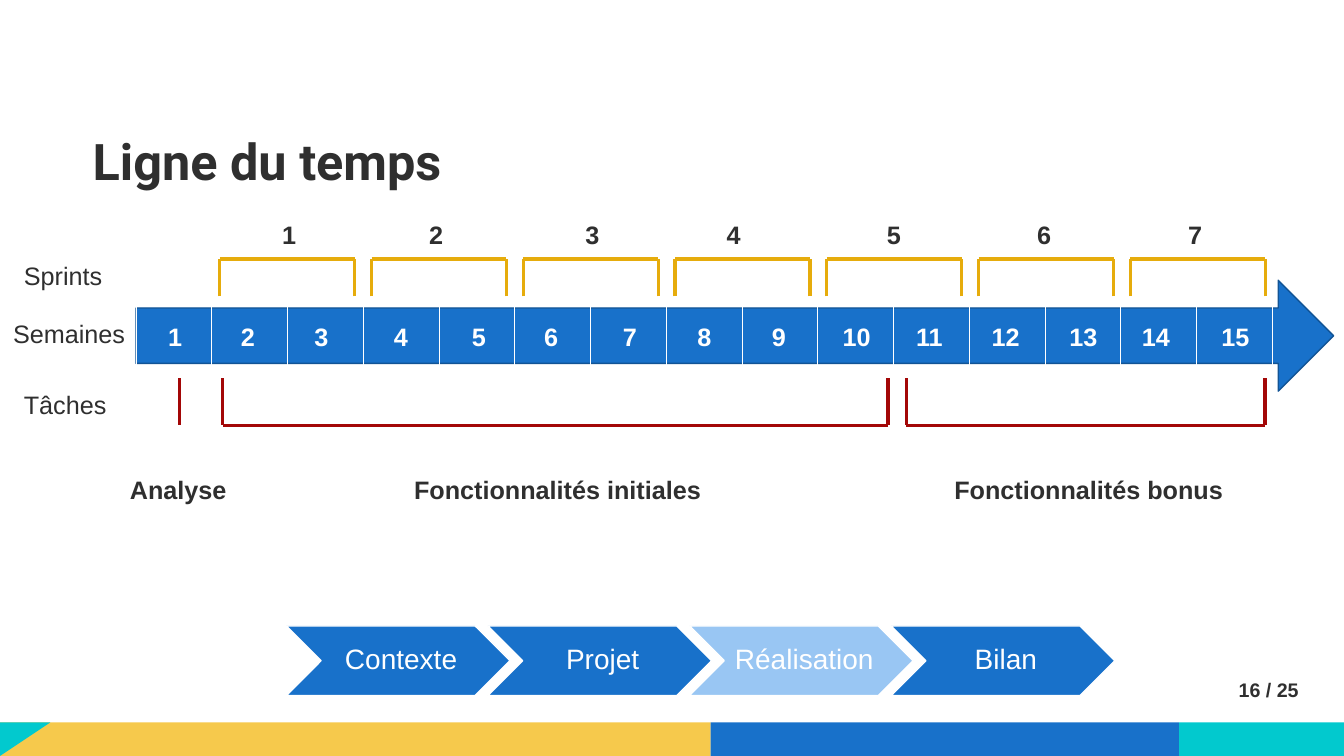
from lxml import etree
from pptx import Presentation
from pptx.dml.color import RGBColor
from pptx.enum.shapes import MSO_CONNECTOR, MSO_SHAPE
from pptx.enum.text import MSO_ANCHOR, PP_ALIGN
from pptx.oxml.ns import qn
from pptx.util import Pt

LINE = MSO_CONNECTOR.STRAIGHT
RECT, CHEVRON, ARROW = MSO_SHAPE.RECTANGLE, MSO_SHAPE.CHEVRON, MSO_SHAPE.RIGHT_ARROW
TOP, MIDDLE = MSO_ANCHOR.TOP, MSO_ANCHOR.MIDDLE
LEFT, CENTER = PP_ALIGN.LEFT, PP_ALIGN.CENTER

COLORS = {
    "white": "FFFFFF", "ink": "2F2F2F", "blue": "1871CA", "pale": "99C6F3",
    "navy": "125495", "teal": "02C9CE", "yellow": "F6C94C",
    "sprint": "E6AC0C", "task": "A30707",
}


def color(name):
    return RGBColor.from_string(COLORS[name])


def write(tf, text, size=18, bold=False, ink="ink", font="Arial", align=LEFT,
          anchor=TOP, wrap=True, spacing=1.0, insets=(7.2, 3.6, 7.2, 3.6)):
    tf.word_wrap = wrap
    tf.vertical_anchor = anchor
    tf.margin_left, tf.margin_top, tf.margin_right, tf.margin_bottom = map(Pt, insets)
    p = tf.paragraphs[0]
    p.alignment = align
    p.line_spacing = spacing
    r = p.add_run()
    r.text = text
    r.font.name, r.font.size, r.font.bold = font, Pt(size), bold
    r.font.color.rgb = color(ink)


class Timeline:
    """Draws styled elements on one slide, with all lengths in points."""

    def __init__(self, slide):
        self.slide = slide
        self.shapes = slide.shapes

    def title(self, text, x, y, w, h):
        sp = self.shapes.title
        sp.left, sp.top, sp.width, sp.height = map(Pt, (x, y, w, h))
        write(sp.text_frame, text, size=36, bold=True, font="Roboto",
              anchor=MIDDLE, insets=(0, 0, 0, 0))

    def paint(self, sp, fill, outline=None):
        sp.shadow.inherit = False
        sp.fill.solid()
        sp.fill.fore_color.rgb = color(fill)
        if outline:
            sp.line.color.rgb = color(outline)
            sp.line.width = Pt(1)
        else:
            sp.line.fill.background()

    def shape(self, kind, x, y, w, h, fill, outline=None):
        sp = self.shapes.add_shape(kind, *map(Pt, (x, y, w, h)))
        self.paint(sp, fill, outline)
        return sp

    def polygon(self, points, fill):
        builder = self.shapes.build_freeform(*points[0], scale=Pt(1))
        builder.add_line_segments(points[1:])
        self.paint(builder.convert_to_shape(), fill)

    def line(self, x1, y1, x2, y2, ink, width=2.25):
        sp = self.shapes.add_connector(LINE, *map(Pt, (x1, y1, x2, y2)))
        sp.line.color.rgb = color(ink)
        sp.line.width = Pt(width)
        etree.SubElement(sp._element.spPr, qn("a:effectLst"))

    def bracket(self, x1, x2, y_open, y_bar, ink):
        for x in (x1, x2):
            self.line(x, y_open, x, y_bar, ink)
        self.line(x1, y_bar, x2, y_bar, ink)

    def label(self, text, x, y, w, h=29, **style):
        sp = self.shapes.add_textbox(*map(Pt, (x, y, w, h)))
        write(sp.text_frame, text, **style)


def main():
    prs = Presentation()
    prs.slide_width, prs.slide_height = Pt(960), Pt(540)
    s = Timeline(prs.slides.add_slide(prs.slide_layouts[5]))

    bar_top, bar_height = 516, 24
    for x, w, fill in [(0, 507.6, "yellow"), (507.6, 334.6, "blue"), (842.2, 117.8, "teal")]:
        s.shape(RECT, x, bar_top, w, bar_height, fill)
    s.polygon([(0, 540), (0, bar_top), (36, bar_top)], "teal")
    s.title("Ligne du temps", 66.2, 69.8, 827.3, 89.3)

    steps = ["Contexte", "Projet", "Réalisation", "Bilan"]
    for i, step in enumerate(steps):
        fill = "pale" if step == "Réalisation" else "blue"
        sp = s.shape(CHEVRON, 204.5 + 144 * i, 447.1, 159.8, 49.7, fill, "white")
        write(sp.text_frame, step, size=20, ink="white", align=CENTER, anchor=MIDDLE,
              wrap=False, spacing=0.9, insets=(6.5, 2.2, 2.2, 2.2))

    s.shape(ARROW, 97.2, 200.2, 855.4, 79.2, "blue", "navy")
    for i in range(16):
        x = 97.2 + 54.1 * i
        s.line(x, 218, x, 262, "white", 0.5)
    week_lefts = [113, 165, 217.5, 274.3, 330, 381.6, 437.8, 491, 544.3,
                  594.7, 647.3, 701.3, 756.7, 808.6, 865.4]
    for week, x in enumerate(week_lefts, 1):
        s.label(str(week), x, 225.7, 40, bold=True, ink="white")

    sprint_lefts = [194.4, 299.5, 411.1, 511.9, 626.4, 733.7, 841.7]
    for i, x in enumerate(sprint_lefts):
        left = 157 + 108.4 * i
        s.bracket(left, left + 96.4, 211.7, 185, "sprint")
        s.label(str(i + 1), x, 153.4, 26.6, bold=True)

    for text, x, y, w in [("Sprints", 10, 182.2, 71.3), ("Semaines", 2.2, 224, 95),
                          ("Tâches", 10, 274.3, 74.2)]:
        s.label(text, x, y, w, wrap=False)

    s.line(128.2, 270, 128.2, 303.8, "task")
    for x1, x2 in [(159.1, 634.3), (647.3, 903.6)]:
        s.bracket(x1, x2, 270, 303.8, "task")
    for text, x, w in [("Analyse", 85.7, 84.2), ("Fonctionnalités initiales", 288.7, 221.8),
                       ("Fonctionnalités bonus", 674.6, 208.1)]:
        s.label(text, x, 335.5, w, bold=True, wrap=False)
    s.label("16 / 25", 877.7, 481, 57.6, 24.5, size=14, bold=True, wrap=False)

    prs.save("out.pptx")


if __name__ == "__main__":
    main()
